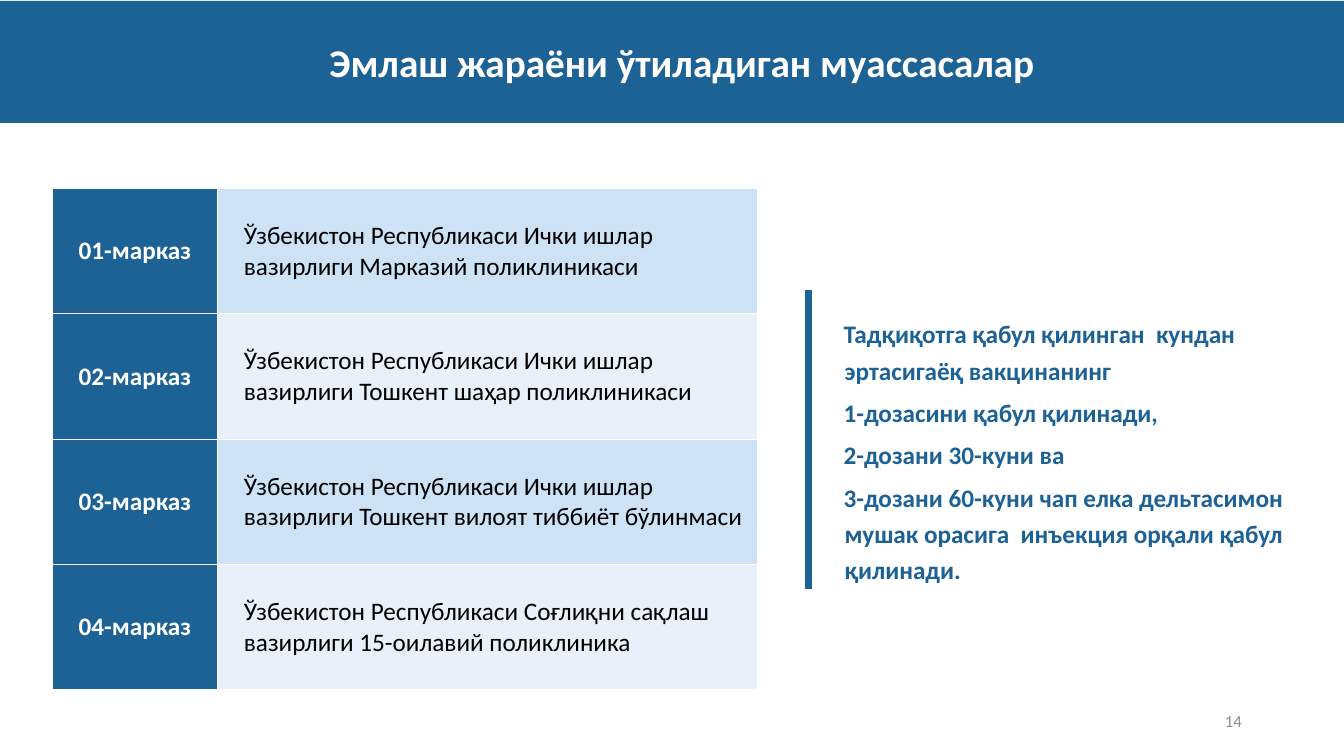
from lxml.etree import SubElement
from pptx import Presentation
from pptx.dml.color import RGBColor
from pptx.enum.shapes import MSO_CONNECTOR as Connector, MSO_SHAPE as Shape
from pptx.enum.text import MSO_ANCHOR as Anchor, PP_ALIGN as Align
from pptx.oxml.ns import qn
from pptx.util import Pt

COLORS = {"blue": "1D6295", "banner": "1D6294", "white": "FFFFFF", "black": "000000",
          "band": "CDE3F5", "light": "E8F1FA", "gray": "8C8C8C"}

CENTERS = [
    ("01-марказ", "Ўзбекистон Республикаси Ички ишлар вазирлиги Марказий поликлиникаси"),
    ("02-марказ", "Ўзбекистон Республикаси Ички ишлар вазирлиги Тошкент шаҳар поликлиникаси"),
    ("03-марказ", "Ўзбекистон Республикаси Ички ишлар вазирлиги Тошкент вилоят тиббиёт бўлинмаси"),
    ("04-марказ", "Ўзбекистон Республикаси Соғлиқни сақлаш вазирлиги 15-оилавий поликлиника"),
]
DOSES = [
    "Тадқиқотга қабул қилинган  кундан эртасигаёқ вакцинанинг",
    "1-дозасини қабул қилинади,",
    "2-дозани 30-куни ва",
    "3-дозани 60-куни чап елка дельтасимон мушак орасига  инъекция орқали қабул қилинади.",
]


class SlideBuilder:
    font_name = "Calibri"

    def __init__(self, slide):
        self.slide = slide

    def color(self, name):
        return RGBColor.from_string(COLORS[name])

    def fill(self, target, name):
        target.fill.solid()
        target.fill.fore_color.rgb = self.color(name)

    def style(self, paragraph, size, color, bold=False, align=Align.LEFT):
        paragraph.alignment = align
        font = paragraph.font
        font.name, font.size, font.bold = self.font_name, Pt(size), bold
        font.color.rgb = self.color(color)

    def indent(self, paragraph, left, first=0):
        properties = paragraph._p.get_or_add_pPr()
        properties.set("marL", str(Pt(left)))
        properties.set("indent", str(Pt(first)))

    def rectangle(self, left, top, width, height, color):
        shape = self.slide.shapes.add_shape(
            Shape.RECTANGLE, Pt(left), Pt(top), Pt(width), Pt(height))
        shape.shadow.inherit = False
        self.fill(shape, color)
        shape.line.fill.background()

    def line(self, x1, y1, x2, y2, color, weight):
        connector = self.slide.shapes.add_connector(
            Connector.STRAIGHT, Pt(x1), Pt(y1), Pt(x2), Pt(y2))
        connector.line.color.rgb = self.color(color)
        connector.line.width = Pt(weight)
        SubElement(connector._element.spPr, qn("a:effectLst"))

    def text(self, left, top, width, height, lines, size, color, bold=False,
             align=Align.LEFT, anchor=Anchor.TOP):
        box = self.slide.shapes.add_textbox(Pt(left), Pt(top), Pt(width), Pt(height))
        frame = box.text_frame
        frame.word_wrap = True
        frame.vertical_anchor = anchor
        frame.text = "\n".join(lines)
        for paragraph in frame.paragraphs:
            self.style(paragraph, size, color, bold, align)
        return frame

    def borders(self, cell, color, weight):
        properties = cell._tc.get_or_add_tcPr()
        for position, side in enumerate(("a:lnL", "a:lnR", "a:lnT", "a:lnB")):
            border = properties.makeelement(qn(side), {"w": str(Pt(weight))})
            solid = SubElement(border, qn("a:solidFill"))
            SubElement(solid, qn("a:srgbClr"), val=COLORS[color])
            properties.insert(position, border)

    def table(self, left, top, widths, row_height, rows):
        table = self.slide.shapes.add_table(
            len(rows), len(widths), Pt(left), Pt(top),
            Pt(sum(widths)), Pt(row_height * len(rows))).table
        for column, width in zip(table.columns, widths):
            column.width = Pt(width)
        for index, values in enumerate(rows):
            table.rows[index].height = Pt(row_height)
            band = "light" if index % 2 else "band"
            for column, value in enumerate(values):
                cell = table.cell(index, column)
                cell.text = value
                cell.vertical_anchor = Anchor.MIDDLE
                paragraph = cell.text_frame.paragraphs[0]
                if column == 0:
                    self.style(paragraph, 18, "white", True, Align.CENTER)
                else:
                    self.indent(paragraph, 11.5)
                    self.style(paragraph, 18, "black")
                self.fill(cell, band if column else "blue")
                self.borders(cell, "white", 1)


def main():
    presentation = Presentation()
    presentation.slide_width, presentation.slide_height = Pt(960), Pt(540)
    builder = SlideBuilder(presentation.slides.add_slide(presentation.slide_layouts[6]))

    # Vaccination schedule beside its vertical rule
    schedule = builder.text(602.6, 214.6, 338.4, 198, DOSES, 18, "blue", True)
    schedule.margin_left = schedule.margin_right = schedule.margin_bottom = 0
    schedule.margin_top = Pt(8.7)
    for index, paragraph in enumerate(schedule.paragraphs):
        builder.indent(paragraph, 0.7, -0.7)
        paragraph.line_spacing = 1.2
        paragraph.space_before = Pt(4.4 if index else 0)
    builder.line(577.5, 207.4, 577.5, 420.5, "blue", 4.5)

    # Title banner
    builder.rectangle(0, 0.7, 960, 87.1, "banner")
    builder.text(34.5, 23.8, 905, 41, ["Эмлаш жараёни ўтиладиган муассасалар"],
                 28, "white", True, Align.CENTER)

    # Table of centers
    builder.table(37.4, 134.6, (118.1, 385.9), 89.6, CENTERS)

    # Slide number
    builder.text(678.2, 500.4, 216, 28.8, ["14"], 12, "gray",
                 align=Align.RIGHT, anchor=Anchor.MIDDLE)

    presentation.save("out.pptx")


if __name__ == "__main__":
    main()
